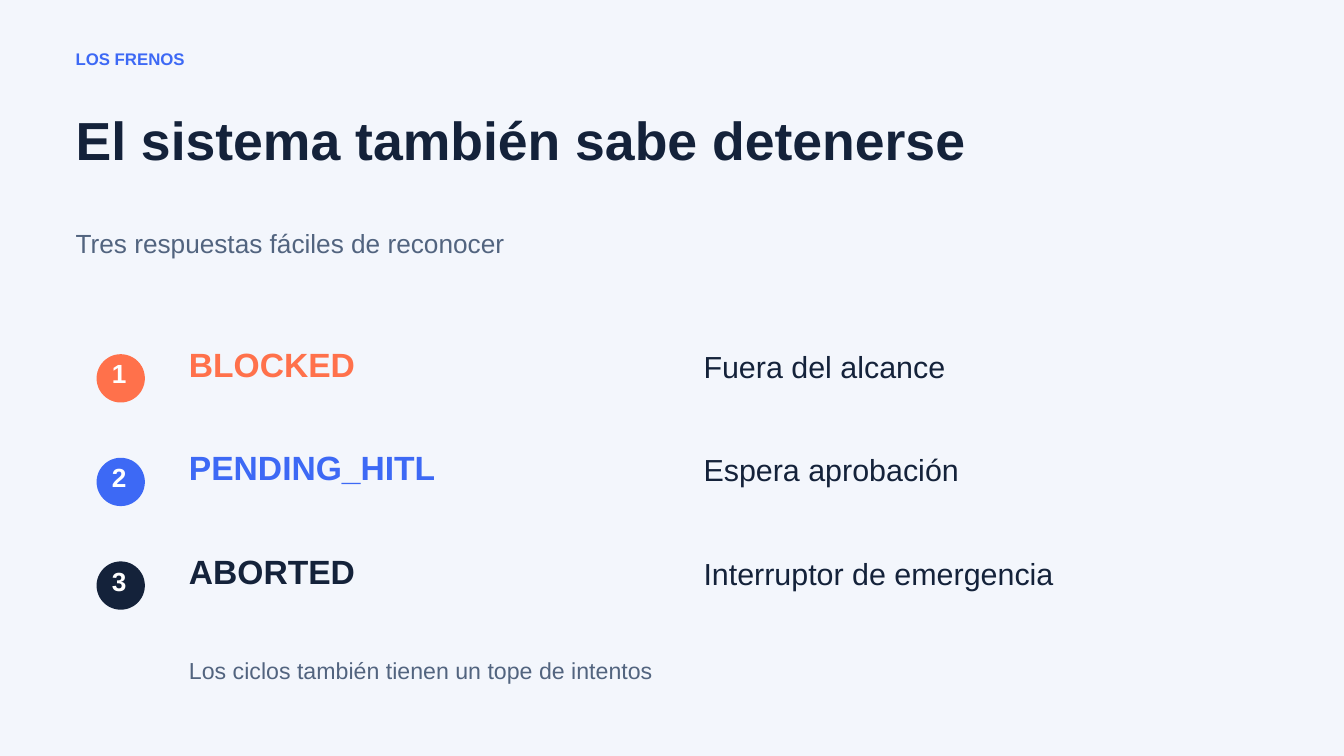
import pptx
import pptx.dml.color
import pptx.enum.shapes
import pptx.enum.text
import pptx.util

PX = 9525
ROW_PITCH = 148
COLORS = {
    "background": "F3F6FC",
    "ink": "14223A",
    "muted": "52647F",
    "blue": "3D69F5",
    "coral": "FF714B",
    "white": "FFFFFF",
}
STYLES = {
    "kicker": {"size": 18, "bold": True},
    "title": {"size": 57.4, "bold": True},
    "subtitle": {"size": 28.1, "bold": False},
    "number": {"size": 28.1, "bold": True},
    "status": {"size": 36, "bold": True},
    "meaning": {"size": 32.6, "bold": False},
    "note": {"size": 24.8, "bold": False},
}
RESPONSES = [
    ("BLOCKED", "Fuera del alcance", "coral"),
    ("PENDING_HITL", "Espera aprobación", "blue"),
    ("ABORTED", "Interruptor de emergencia", "ink"),
]


def rgb(color):
    return pptx.dml.color.RGBColor.from_string(COLORS[color])


def px(*lengths):
    return [pptx.util.Emu(length * PX) for length in lengths]


def add_text(slide, wording, place, style, color):
    frame = slide.shapes.add_textbox(*px(*place)).text_frame
    frame_format = {
        "margin_left": 0,
        "margin_top": 0,
        "margin_right": 0,
        "margin_bottom": 0,
        "word_wrap": True,
        "auto_size": pptx.enum.text.MSO_AUTO_SIZE.SHAPE_TO_FIT_TEXT,
    }
    for name, value in frame_format.items():
        setattr(frame, name, value)
    line = frame.paragraphs[0]
    size = STYLES[style]["size"]
    line.line_spacing = pptx.util.Pt(round(size * 1.2, 1))
    run = line.add_run()
    run.text = wording
    font_format = {
        "name": "Arial",
        "size": pptx.util.Pt(size),
        "bold": STYLES[style]["bold"],
    }
    for name, value in font_format.items():
        setattr(run.font, name, value)
    run.font.color.rgb = rgb(color)


def add_badge(slide, number, top, color):
    circle = slide.shapes.add_shape(
        pptx.enum.shapes.MSO_SHAPE.OVAL, *px(138, top, 69, 69)
    )
    circle.shadow.inherit = False
    circle.fill.solid()
    circle.fill.fore_color.rgb = rgb(color)
    circle.line.fill.background()
    add_text(slide, str(number), (160, top + 5, 60, 62), "number", "white")


def add_response(slide, number, status, meaning, color):
    top = 491 + (number - 1) * ROW_PITCH
    add_badge(slide, number, top + 15, color)
    add_text(slide, status, (270, top, 645, 78), "status", color)
    add_text(slide, meaning, (1005, top + 6, 765, 93), "meaning", "ink")


def main():
    deck = pptx.Presentation()
    deck.slide_width, deck.slide_height = px(1920, 1080)
    slide = deck.slides.add_slide(deck.slide_layouts[6])
    slide.background.fill.solid()
    slide.background.fill.fore_color.rgb = rgb("background")

    add_text(slide, "LOS FRENOS", (108, 70, 1650, 44), "kicker", "blue")
    add_text(slide, "El sistema también sabe detenerse",
             (108, 153, 1704, 168), "title", "ink")
    add_text(slide, "Tres respuestas fáciles de reconocer",
             (108, 325, 1665, 107), "subtitle", "muted")
    for number, response in enumerate(RESPONSES, start=1):
        add_response(slide, number, *response)
    add_text(slide, "Los ciclos también tienen un tope de intentos",
             (270, 938, 1500, 46), "note", "muted")

    deck.save("out.pptx")


if __name__ == "__main__":
    main()
